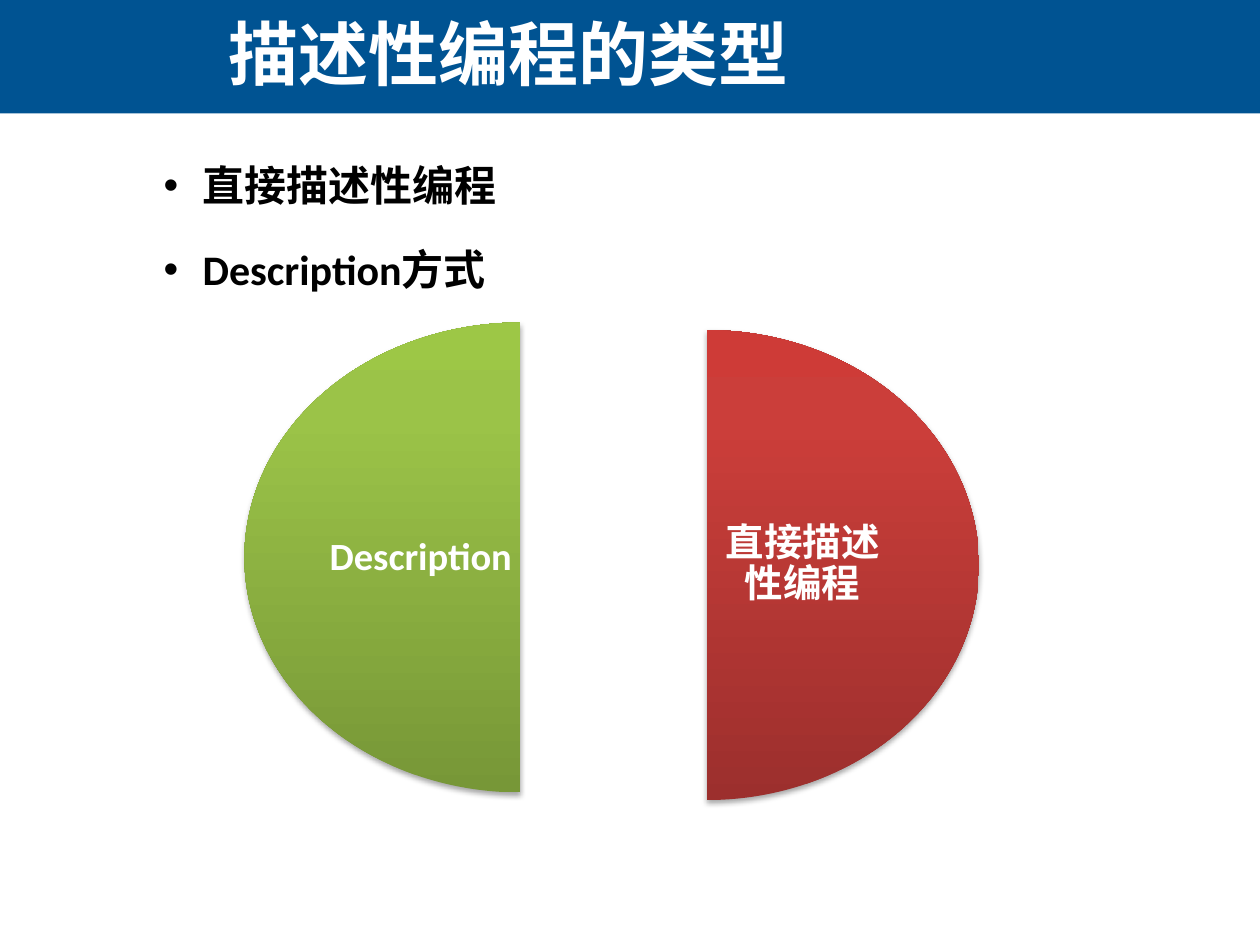
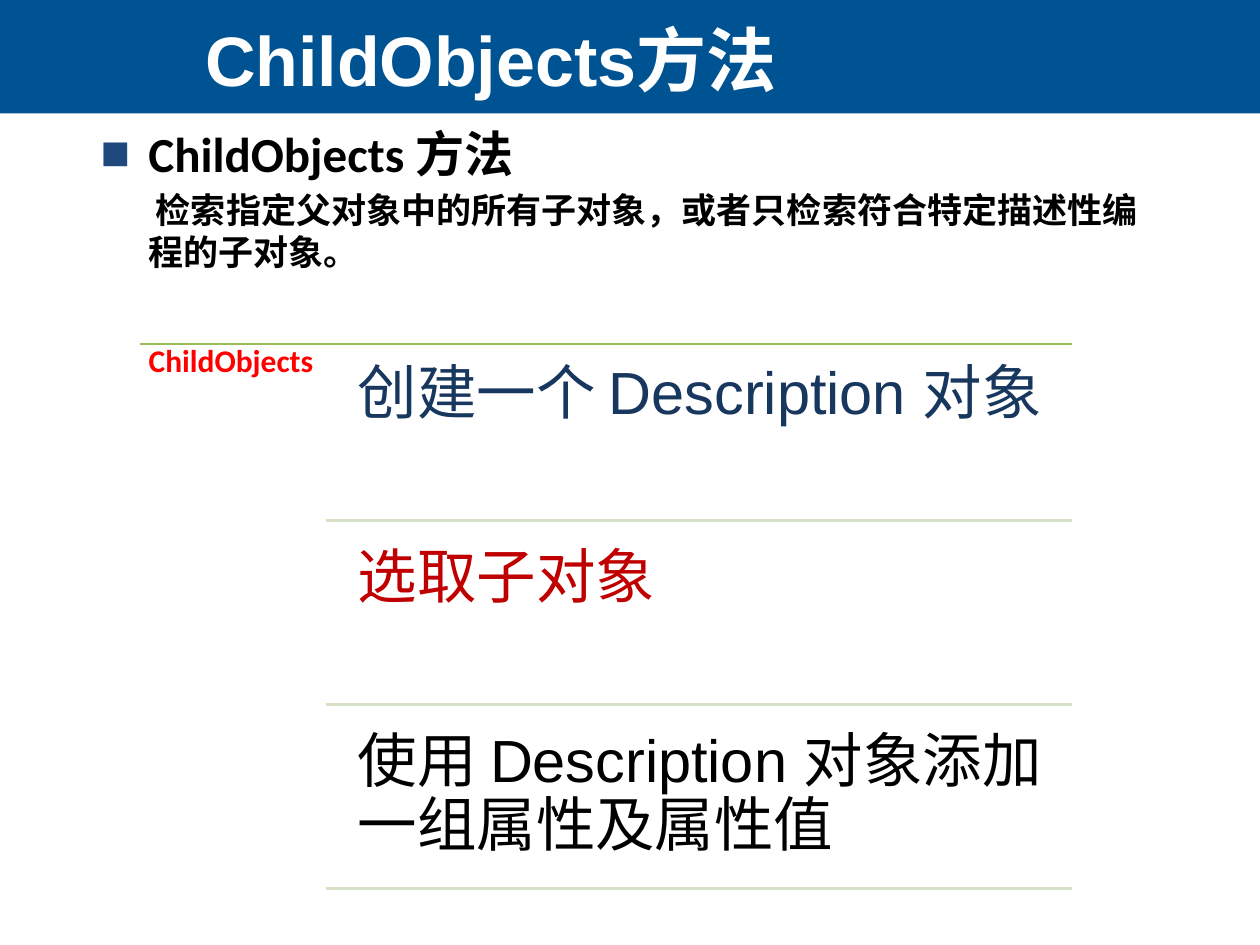
from lxml import etree
from pptx import Presentation
from pptx.dml.color import RGBColor
from pptx.enum.shapes import MSO_CONNECTOR, MSO_SHAPE
from pptx.enum.text import MSO_ANCHOR, PP_ALIGN
from pptx.oxml import parse_xml
from pptx.oxml.ns import nsdecls, qn
from pptx.util import Inches, Pt

TOP, MIDDLE = MSO_ANCHOR.TOP, MSO_ANCHOR.MIDDLE
LEFT, CENTER = PP_ALIGN.LEFT, PP_ALIGN.CENTER
STRAIGHT = MSO_CONNECTOR.STRAIGHT
CJK = "Noto Sans CJK SC"
COLORS = {
    "band": "005392", "white": "FFFFFF", "black": "000000",
    "bullet": "1F497D", "navy": "17375E", "red": "FF0000",
    "dark_red": "C00000", "rule": "9BBB59", "pale_rule": "D5E0C4",
}
GREEN = [(0, "779737"), (80, "9BC348"), (100, "9DC746")]
RED = [(0, "9C2F2D"), (80, "CB3E3A"), (100, "CE3B37")]
BODY = (0.7, 1.02, 8.67, 5.7)


def add_box(slide, box, inset=None, anchor=TOP):
    """Add a wrapping text box and return its text frame."""
    tf = slide.shapes.add_textbox(*map(Inches, box)).text_frame
    tf.word_wrap = True
    tf.vertical_anchor = anchor
    if inset is not None:
        tf.margin_left = tf.margin_right = Inches(inset)
        tf.margin_top = tf.margin_bottom = Inches(inset)
    return tf


def add_text(p, text, size, color, font="Calibri", bold=True, align=LEFT,
             spacing=0.9, before=0, margin=0, indent=0, bullet=None):
    """Fill a paragraph with one run; bullet is (character, colour)."""
    p.alignment = align
    p.line_spacing = spacing
    p.space_before = Pt(before)
    pPr = p._p.get_or_add_pPr()
    pPr.set("marL", str(Inches(margin)))
    pPr.set("indent", str(Inches(indent)))
    if bullet:
        char, bullet_color = bullet
        clr = etree.SubElement(pPr, qn("a:buClr"))
        etree.SubElement(clr, qn("a:srgbClr"), val=COLORS[bullet_color])
        etree.SubElement(pPr, qn("a:buFont"), typeface="Arial")
        etree.SubElement(pPr, qn("a:buChar"), char=char)
    r = p.add_run()
    r.text = text
    r.font.size = Pt(size)
    r.font.bold = bold
    r.font.color.rgb = RGBColor.from_string(COLORS[color])
    r.font.name = font
    etree.SubElement(r._r.get_or_add_rPr(), qn("a:ea"), typeface=CJK)


prs = Presentation()
prs.slide_width, prs.slide_height = Inches(10), Inches(7.5)

# Band and title on every slide
slides = []
for title, box in [("描述性编程的类型", (0.7, 0.21, 6.67, 0.42)),
                   ("ChildObjects方法", (0.56, 0.21, 6.67, 0.51))]:
    s = prs.slides.add_slide(prs.slide_layouts[6])
    band = s.shapes.add_shape(MSO_SHAPE.RECTANGLE, 0, 0, prs.slide_width, Inches(0.9))
    band.shadow.inherit = False
    band.fill.solid()
    band.fill.fore_color.rgb = RGBColor.from_string(COLORS["band"])
    band.line.fill.background()
    tf = add_box(s, box, anchor=MIDDLE)
    add_text(tf.paragraphs[0], title, 40, "white", "Arial", align=CENTER, spacing=1.0)
    slides.append(s)
types_slide, method_slide = slides

# Slide 1: two bullets and two half discs
tf = add_box(types_slide, BODY)
for i, text in enumerate(["直接描述性编程", "Description方式"]):
    p = tf.add_paragraph() if i else tf.paragraphs[0]
    add_text(p, text, 24, "black", spacing=1.5, before=4.8,
             margin=0.81, indent=-0.31, bullet=("•", "black"))

# Pie angles are in 60000ths of a degree, divided by 100000
UP, DOWN = 162, 54
halves = [
    ("直接描述性编程", (3.45, 2.62, 4.32, 3.73), (UP, DOWN), RED, (5.61, 3.17, 1.52, 2.62)),
    ("Description", (1.94, 2.56, 4.38, 3.73), (DOWN, UP), GREEN, (2.57, 3.12, 1.54, 2.62)),
]
for label, disc, angles, stops, label_box in halves:
    sp = types_slide.shapes.add_shape(MSO_SHAPE.PIE, *map(Inches, disc))
    sp.adjustments[0], sp.adjustments[1] = angles
    sp.line.fill.background()
    gs = "".join(f'<a:gs pos="{pos * 1000}"><a:srgbClr val="{c}"/></a:gs>' for pos, c in stops)
    spPr = sp._element.spPr
    spPr.insert(2, parse_xml(
        f'<a:gradFill {nsdecls("a")} rotWithShape="1"><a:gsLst>{gs}</a:gsLst>'
        '<a:lin ang="16200000" scaled="0"/></a:gradFill>'))
    spPr.append(parse_xml(
        f'<a:effectLst {nsdecls("a")}><a:outerShdw blurRad="{Pt(3.1)}" dist="{Pt(1.8)}" '
        'dir="5400000" rotWithShape="0"><a:srgbClr val="000000"><a:alpha val="35000"/>'
        '</a:srgbClr></a:outerShdw></a:effectLst>'))
    tf = add_box(types_slide, label_box, 0.03, MIDDLE)
    add_text(tf.paragraphs[0], label, 22, "white", align=CENTER)

# Slide 2: definition
tf = add_box(method_slide, BODY)
add_text(tf.paragraphs[0], "ChildObjects 方法", 28, "black", spacing=0.8, before=5.6,
         margin=0.38, indent=-0.38, bullet=("■", "bullet"))
add_text(tf.add_paragraph(), "检索指定父对象中的所有子对象，或者只检索符合特定描述性编程的子对象。",
         20, "black", CJK, spacing=1.0, before=4, margin=0.38, indent=0.06)

# Slide 2: ruled list of steps
tf = add_box(method_slide, (1.11, 2.67, 1.48, 4.44), 0.07)
add_text(tf.paragraphs[0], "ChildObjects", 18, "red")

STEP_TOP, STEP_PITCH, STEP_HEIGHT = 2.74, 1.46, 1.39
steps = [("创建一个 Description 对象", "navy", "Arial"),
         ("选取子对象", "dark_red", "Calibri"),
         ("使用 Description 对象添加一组属性及属性值", "black", "Arial")]
rules = [(1.11, 2.73, "rule", 0.75)]
for i, (text, color, font) in enumerate(steps):
    top = STEP_TOP + i * STEP_PITCH
    tf = add_box(method_slide, (2.7, top, 5.81, STEP_HEIGHT), 0.14)
    add_text(tf.paragraphs[0], text, 34, color, font, bold=False)
    rules.append((2.59, top + STEP_HEIGHT, "pale_rule", 2))

for left, y, color, width in rules:
    line = method_slide.shapes.add_connector(
        STRAIGHT, Inches(left), Inches(y), Inches(8.51), Inches(y))
    line.line.color.rgb = RGBColor.from_string(COLORS[color])
    line.line.width = Pt(width)
    etree.SubElement(line._element.spPr, qn("a:effectLst"))

prs.save("out.pptx")
